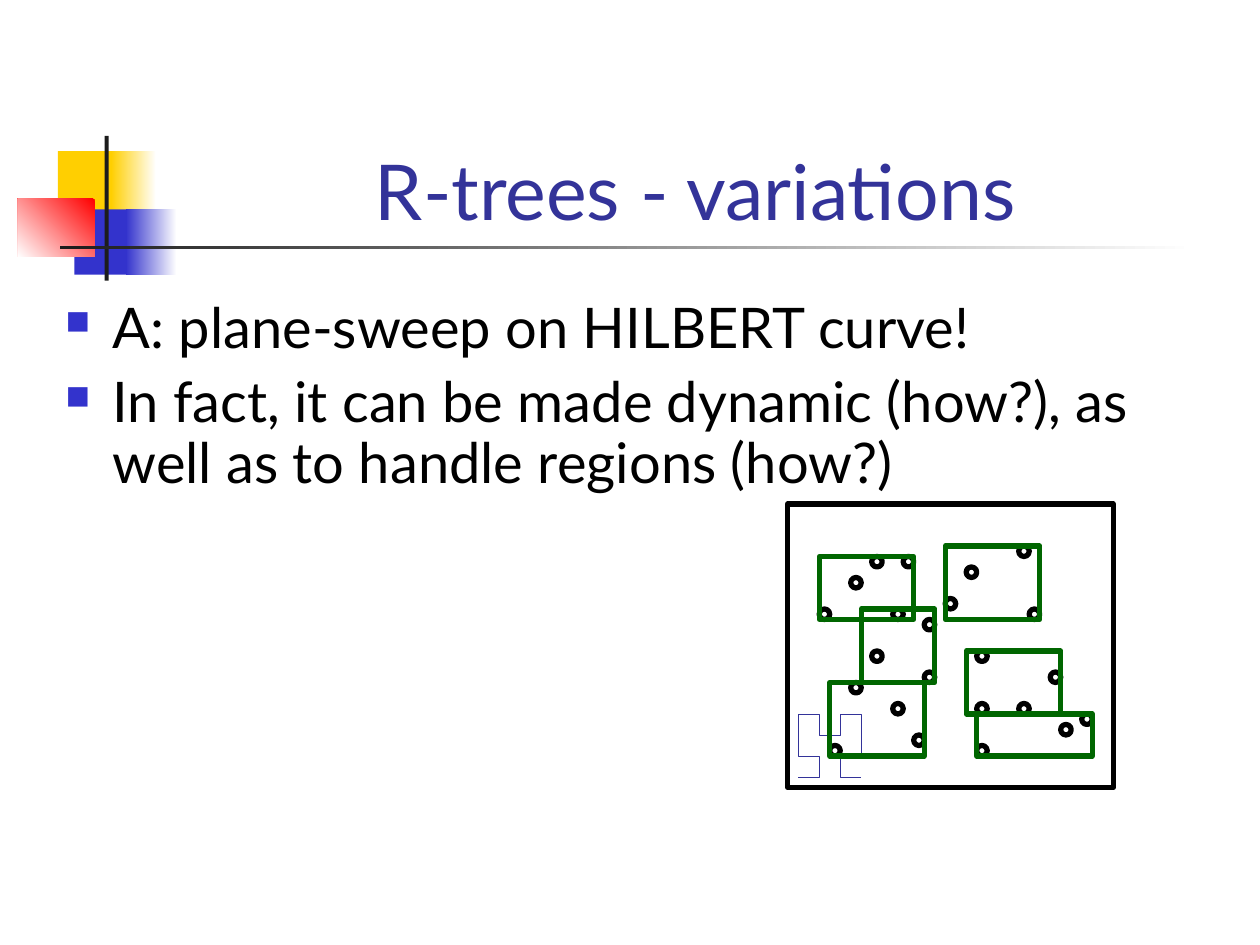
"""Build the slide on R-tree variations with a Hilbert curve diagram."""
from typing import NamedTuple, Optional

import lxml.etree
import pptx
import pptx.dml.color
import pptx.enum.shapes
import pptx.enum.text
import pptx.oxml.ns
import pptx.util

Cm = pptx.util.Cm
Pt = pptx.util.Pt
SHAPE = pptx.enum.shapes.MSO_SHAPE

FONT = "Lato"
COLOURS = {
    "yellow": "FFCF01", "blue": "3333CC", "red": "FF0000", "white": "FFFFFF",
    "bar": "1C1C1C", "title": "333399", "text": "000000", "region": "006600",
}
UNIT = Cm(2.54 / 12)
FRAME_LEFT, FRAME_TOP = Cm(15.88), Cm(10.16)


class Ornament(NamedTuple):
    left: float
    top: float
    width: float
    height: float
    colour: str
    fade_to: Optional[str] = None
    angle: int = 180


class Box(NamedTuple):
    left: int
    top: int
    width: int
    height: int


ORNAMENTS = [
    Ornament(1.17, 3.05, 1.22, 1.32, "yellow"),
    Ornament(2.24, 3.05, 0.91, 1.32, "white", "yellow"),
    Ornament(1.5, 4.22, 1.17, 1.32, "blue"),
    Ornament(2.54, 4.22, 1.02, 1.32, "white", "blue"),
    Ornament(0.36, 4.01, 1.55, 1.17, "red", "white", 225),
    Ornament(2.11, 2.74, 0.08, 2.92, "bar"),
    Ornament(1.22, 4.95, 22.86, 0.08, "white", "bar"),
]
FRAME = Box(0, 0, 31, 27)
POINTS = [
    (4, 23), (3, 10), (12, 22), (11, 5), (10, 19), (6, 17), (8, 5), (13, 11),
    (15, 9), (23, 10), (22, 4), (18, 14), (22, 19), (25, 16), (26, 21), (6, 7),
    (10, 10), (8, 14), (17, 6), (13, 16), (18, 19), (18, 23), (28, 20),
]
REGIONS = [
    Box(4, 17, 9, 7), Box(7, 10, 7, 7), Box(3, 5, 9, 6),
    Box(15, 4, 9, 7), Box(17, 14, 9, 6), Box(18, 20, 11, 4),
]
CURVE_LEFT, CURVE_TOP, CURVE_STEP = 1, 20, 2
CURVE = [
    (0, 3), (1, 3), (1, 2), (0, 2), (0, 1), (0, 0), (1, 0), (1, 1),
    (2, 1), (2, 0), (3, 0), (3, 1), (3, 2), (2, 2), (2, 3), (3, 3),
]
BULLETS = [
    "A: plane-sweep on HILBERT curve!",
    "In fact, it can be made dynamic (how?), as well as to handle regions (how?)",
]


def rgb(name: str) -> pptx.dml.color.RGBColor:
    return pptx.dml.color.RGBColor.from_string(COLOURS[name])


def set_font(paragraph, size: int, colour: str) -> None:
    paragraph.font.name = FONT
    paragraph.font.size = Pt(size)
    paragraph.font.color.rgb = rgb(colour)


def add_ornament(slide, ornament: Ornament) -> None:
    block = slide.shapes.add_shape(SHAPE.RECTANGLE, *map(Cm, ornament[:4]))
    block.shadow.inherit = False
    block.line.fill.background()
    if ornament.fade_to is None:
        block.fill.solid()
        block.fill.fore_color.rgb = rgb(ornament.colour)
        return
    block.fill.gradient()
    block.fill.gradient_angle = ornament.angle
    for stop, name in zip(block.fill.gradient_stops, (ornament.colour, ornament.fade_to)):
        stop.color.rgb = rgb(name)


def style_outline(shape, colour: str, width: float) -> None:
    shape.shadow.inherit = False
    shape.fill.background()
    shape.line.color.rgb = rgb(colour)
    shape.line.width = Pt(width)


def add_outline(slide, kind: SHAPE, box: Box, colour: str) -> None:
    outline = slide.shapes.add_shape(
        kind, FRAME_LEFT + box.left * UNIT, FRAME_TOP + box.top * UNIT,
        box.width * UNIT, box.height * UNIT)
    style_outline(outline, colour, 3)


def add_curve(slide) -> None:
    start, *corners = [
        (CURVE_LEFT + CURVE_STEP * x, CURVE_TOP + CURVE_STEP * y) for x, y in CURVE]
    builder = slide.shapes.build_freeform(*start, scale=UNIT)
    builder.add_line_segments(corners, close=False)
    style_outline(builder.convert_to_shape(FRAME_LEFT, FRAME_TOP), "title", 0.25)


def add_bullet(paragraph) -> None:
    properties = paragraph._p.get_or_add_pPr()
    properties.set("marL", str(Cm(0.95)))
    properties.set("indent", str(Cm(-0.95)))
    qn = pptx.oxml.ns.qn
    bullet_colour = lxml.etree.SubElement(properties, qn("a:buClr"))
    lxml.etree.SubElement(bullet_colour, qn("a:srgbClr"), val=COLOURS["blue"])
    lxml.etree.SubElement(properties, qn("a:buSzPct"), val="60000")
    lxml.etree.SubElement(properties, qn("a:buChar"), char="■")


def fill_title(title) -> None:
    title.left, title.top, title.width, title.height = map(Cm, (3.2, 1.7, 21.64, 3.18))
    title.text_frame.text = "R-trees - variations"
    title.text_frame.vertical_anchor = pptx.enum.text.MSO_ANCHOR.BOTTOM
    heading = title.text_frame.paragraphs[0]
    heading.alignment = pptx.enum.text.PP_ALIGN.CENTER
    set_font(heading, 44, "title")


def add_body(slide) -> None:
    body = slide.shapes.add_textbox(*map(Cm, (1.07, 5.92, 22.86, 11.43))).text_frame
    body.word_wrap = True
    body.text = "\n".join(BULLETS)
    for index, paragraph in enumerate(body.paragraphs):
        add_bullet(paragraph)
        paragraph.line_spacing = 0.9
        if index:
            paragraph.space_before = Pt(8)
        set_font(paragraph, 32, "text")


def main() -> None:
    deck = pptx.Presentation()
    deck.slide_width, deck.slide_height = Cm(25.4), Cm(19.05)
    slide = deck.slides.add_slide(deck.slide_layouts[5])
    for ornament in ORNAMENTS:
        add_ornament(slide, ornament)
    fill_title(slide.shapes.title)
    add_body(slide)
    add_outline(slide, SHAPE.RECTANGLE, FRAME, "text")
    for x, y in POINTS:
        add_outline(slide, SHAPE.OVAL, Box(x, y, 1, 1), "text")
    add_curve(slide)
    for region in REGIONS:
        add_outline(slide, SHAPE.RECTANGLE, region, "region")
    deck.save("out.pptx")


if __name__ == "__main__":
    main()
